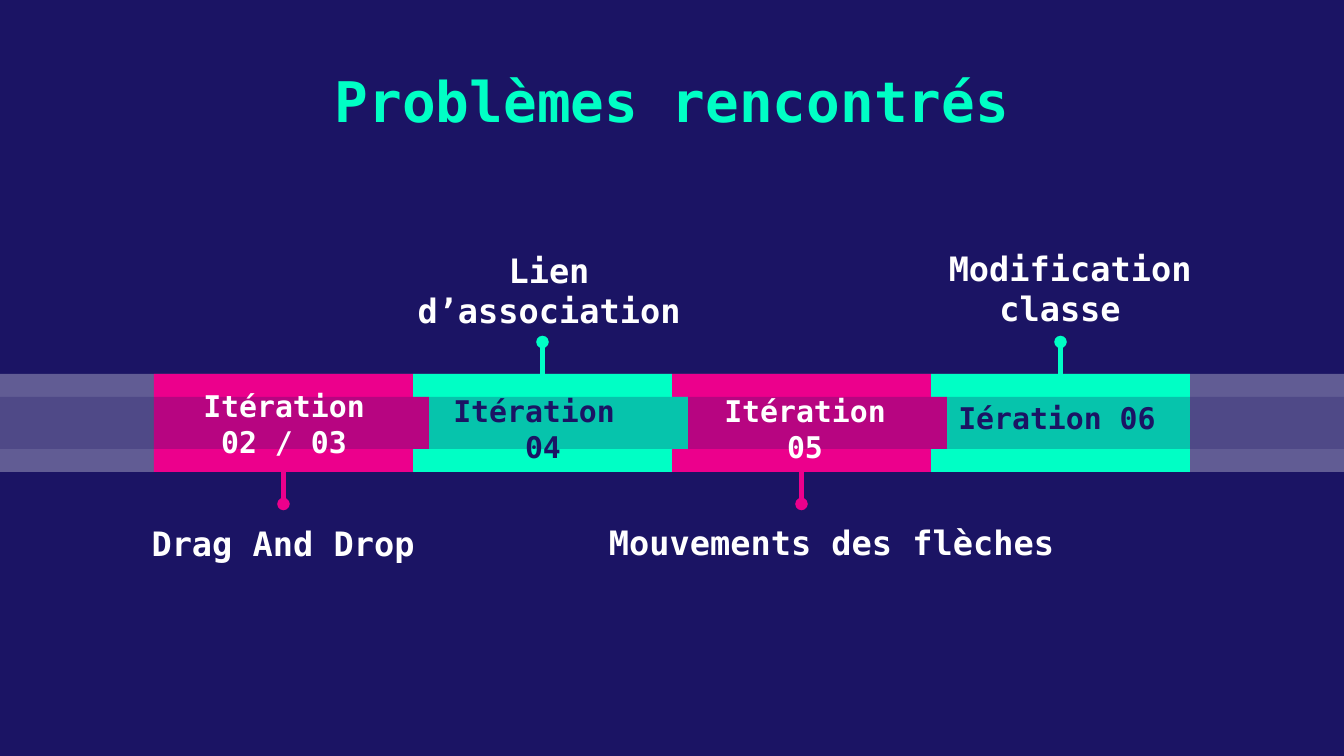
from dataclasses import dataclass

from lxml import etree
from pptx import Presentation
from pptx import util as u
from pptx.dml.color import RGBColor
from pptx.enum import shapes, text
from pptx.oxml.ns import qn

PX = u.Inches(10) / 1344
FONT = "DejaVu Sans Mono"
NAVY = RGBColor(0x1B, 0x14, 0x64)
MINT = RGBColor(0x00, 0xFF, 0xC5)
PINK = RGBColor(0xEC, 0x00, 0x8C)
WHITE = RGBColor(0xFF, 0xFF, 0xFF)

WIDTH, HEIGHT = 1344, 756
BAND_TOP, BAND_BOTTOM = 374, 472
STRIPE_TOP, STRIPE_BOTTOM = 397, 449
FIRST_LEFT, STEP_WIDTH, TAB = 154, 259, 16
PIN_LENGTH = 32
INSET = 13


@dataclass(frozen=True)
class Label:
    lines: tuple[str, ...]
    left: int
    top: int
    width: int
    height: int
    size: int
    color: RGBColor = WHITE
    inset_y: int = 0
    anchor: text.MSO_ANCHOR = text.MSO_ANCHOR.TOP


@dataclass(frozen=True)
class Step:
    color: RGBColor
    pin_up: bool
    name: Label
    problem: Label


def px(n: float) -> int:
    return round(n * PX)


def step_name(lines: tuple[str, ...], left: int, top: int, height: int, color: RGBColor) -> Label:
    return Label(lines, left, top, 230, height, 16, color, INSET)


TITLE = Label(("Problèmes rencontrés",), 188, 51, 968, 98, 30, MINT, INSET, text.MSO_ANCHOR.MIDDLE)
STEPS = [
    Step(PINK, False, step_name(("Itération 02 / 03",), 169, 375, 52, WHITE),
         Label(("Drag And Drop",), 101, 523, 364, 52, 18)),
    Step(MINT, True, step_name(("Itération ", "04"), 428, 380, 52, NAVY),
         Label(("Lien d’association",), 394, 250, 310, 151, 18)),
    Step(PINK, False, step_name(("Itération 05",), 690, 380, 52, WHITE),
         Label(("Mouvements des flèches",), 583, 522, 497, 97, 18)),
    Step(MINT, True, step_name(("Iération 06",), 942, 387, 81, NAVY),
         Label((" Modification classe",), 876, 248, 368, 87, 18)),
]


def paint(sp, color: RGBColor, opacity: int = 100) -> None:
    sp.shadow.inherit = False
    sp.line.fill.background()
    sp.fill.solid()
    sp.fill.fore_color.rgb = color
    if opacity < 100:
        clr = sp._element.spPr.find(qn("a:solidFill"))[0]
        etree.SubElement(clr, qn("a:alpha"), val=str(opacity * 1000))


def add_strip(s, left: int, top: int, right: int, bottom: int,
              color: RGBColor, opacity: int = 100) -> None:
    sp = s.shapes.add_shape(shapes.MSO_SHAPE.RECTANGLE, px(left), px(top),
                            px(right - left), px(bottom - top))
    paint(sp, color, opacity)


def add_tabbed_block(s, left: int, color: RGBColor) -> None:
    """Draw a step whose middle part reaches into the next step."""
    right = left + STEP_WIDTH
    builder = s.shapes.build_freeform(left, BAND_TOP, scale=PX)
    builder.add_line_segments([
        (left, BAND_BOTTOM), (right, BAND_BOTTOM), (right, STRIPE_BOTTOM),
        (right + TAB, STRIPE_BOTTOM), (right + TAB, STRIPE_TOP),
        (right, STRIPE_TOP), (right, BAND_TOP),
    ], close=True)
    paint(builder.convert_to_shape(), color)


def add_label(s, label: Label) -> None:
    box = s.shapes.add_textbox(px(label.left), px(label.top), px(label.width), px(label.height))
    tf = box.text_frame
    tf.word_wrap = True
    tf.vertical_anchor = label.anchor
    tf.margin_left = tf.margin_right = px(INSET)
    tf.margin_top = tf.margin_bottom = px(label.inset_y)
    p = tf.paragraphs[0]
    p.alignment = text.PP_ALIGN.CENTER
    for i, line in enumerate(label.lines):
        if i:
            p.add_line_break()
        r = p.add_run()
        r.text = line
        r.font.name = FONT
        r.font.size = u.Pt(label.size)
        r.font.bold = True
        r.font.color.rgb = label.color


def add_pin(s, x: float, step: Step) -> None:
    """Draw a line from a round head to the edge of the band."""
    edge = BAND_TOP if step.pin_up else BAND_BOTTOM
    head = edge - PIN_LENGTH if step.pin_up else edge + PIN_LENGTH
    pin = s.shapes.add_connector(shapes.MSO_CONNECTOR.STRAIGHT, px(x), px(head), px(x), px(edge))
    pin.line.color.rgb = step.color
    pin.line.width = u.Pt(2.25)
    etree.SubElement(pin.line._get_or_add_ln(), qn("a:headEnd"), type="oval")
    etree.SubElement(pin._element.spPr, qn("a:effectLst"))


def main() -> None:
    prs = Presentation()
    prs.slide_width, prs.slide_height = px(WIDTH), px(HEIGHT)
    s = prs.slides.add_slide(prs.slide_layouts[6])
    s.background.fill.solid()
    s.background.fill.fore_color.rgb = NAVY

    lefts = [FIRST_LEFT + i * STEP_WIDTH for i in range(len(STEPS))]
    add_strip(s, 0, BAND_TOP, WIDTH, BAND_BOTTOM, WHITE, 31)
    add_strip(s, lefts[-1], BAND_TOP, lefts[-1] + STEP_WIDTH, BAND_BOTTOM, STEPS[-1].color)
    for left, step in reversed(list(zip(lefts[:-1], STEPS))):
        add_tabbed_block(s, left, step.color)
    add_strip(s, 0, STRIPE_TOP, WIDTH, STRIPE_BOTTOM, NAVY, 25)

    add_label(s, TITLE)
    for left, step in zip(lefts, STEPS):
        add_label(s, step.problem)
        add_label(s, step.name)
        add_pin(s, left + STEP_WIDTH / 2, step)
    prs.save("out.pptx")


if __name__ == "__main__":
    main()
